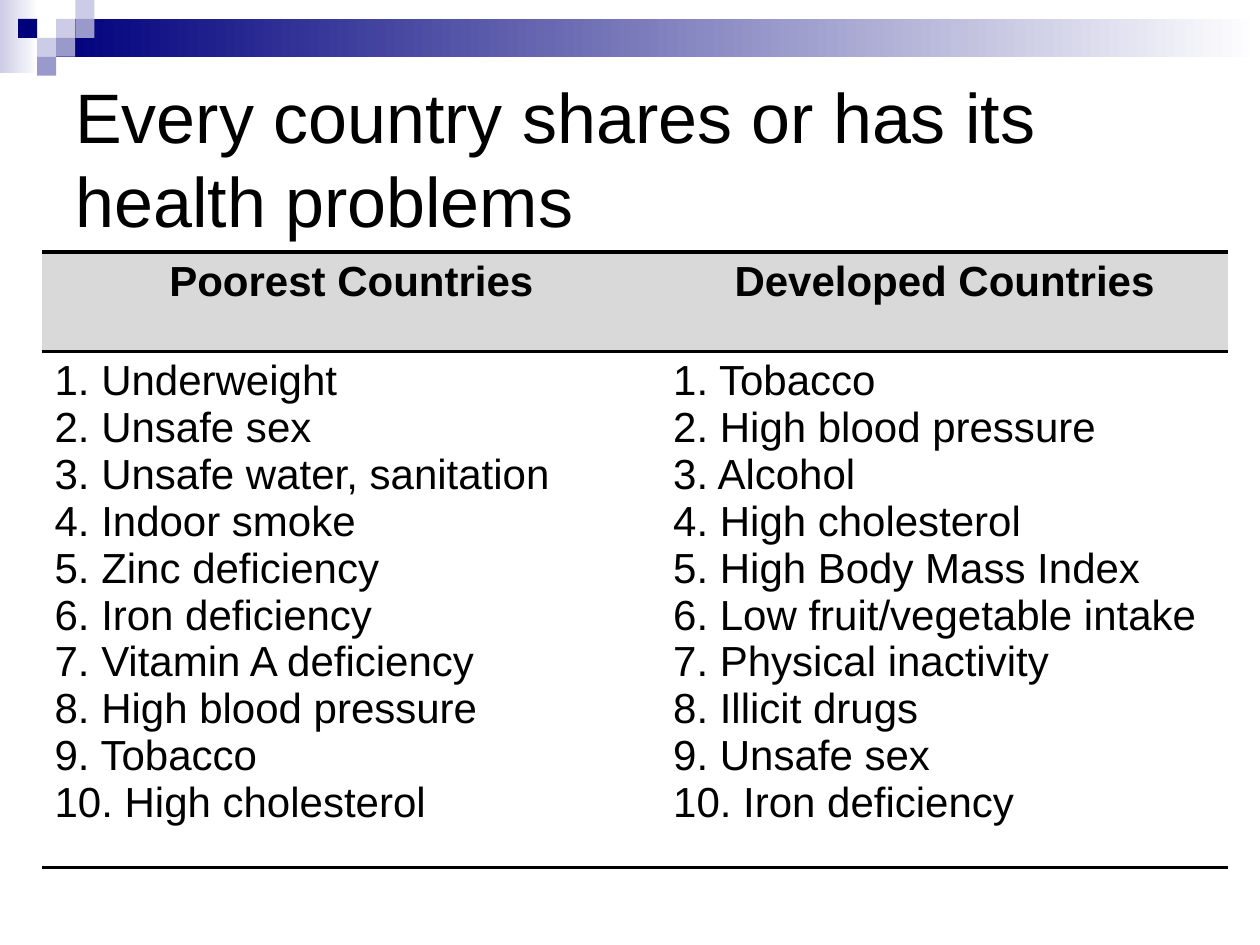
from pptx import Presentation
from pptx.dml.color import RGBColor as RGB
from pptx.enum.shapes import MSO_SHAPE as Shape
from pptx.enum.text import MSO_ANCHOR as Anchor, PP_ALIGN as Align
from pptx.oxml import parse_xml
from pptx.oxml.ns import nsdecls, qn
from pptx.util import Pt

COLORS = {
    "navy": "00007D",
    "periwinkle": "9999CC",
    "lavender": "CCCCE6",
    "white": "FFFFFF",
    "header": "D9D9D9",
    "black": "000000",
}
FONT = "Arial"
NO_STYLE = "{2D5ABB26-0587-4C30-8999-92F81FD0307C}"
MOSAIC = [
    (2, 1, "lavender"),
    (3, 0, "lavender"),
    (3, 1, "periwinkle"),
    (1, 2, "lavender"),
    (0, 1, "navy"),
    (2, 2, "periwinkle"),
    (1, 3, "periwinkle"),
]
RISKS = {
    "Poorest Countries": [
        "Underweight", "Unsafe sex", "Unsafe water, sanitation",
        "Indoor smoke", "Zinc deficiency", "Iron deficiency",
        "Vitamin A deficiency", "High blood pressure", "Tobacco",
        "High cholesterol",
    ],
    "Developed Countries": [
        "Tobacco", "High blood pressure", "Alcohol", "High cholesterol",
        "High Body Mass Index", "Low fruit/vegetable intake",
        "Physical inactivity", "Illicit drugs", "Unsafe sex",
        "Iron deficiency",
    ],
}


def color(name):
    return RGB.from_string(COLORS[name])


def add_block(slide, left, top, width, height, start, end=None):
    block = slide.shapes.add_shape(
        Shape.RECTANGLE, Pt(left), Pt(top), Pt(width), Pt(height))
    block.shadow.inherit = False
    block.line.fill.background()
    if end is None:
        block.fill.solid()
        block.fill.fore_color.rgb = color(start)
        return
    block.fill.gradient()
    block.fill.gradient_angle = 0
    for stop, name in zip(block.fill.gradient_stops, (start, end)):
        stop.color.rgb = color(name)


def add_banner(slide, left, top, width, square=10.8):
    add_block(slide, left, top, 22, 42, "lavender", "white")
    mosaic_left, step = left + 10.3, 10.9
    bar_left = mosaic_left + 2 * step
    add_block(slide, bar_left, top + square, left + width - bar_left,
              2 * square, "navy", "white")
    for column, row, name in MOSAIC:
        add_block(slide, mosaic_left + column * step, top + row * square,
                  step, square, name)


def style(paragraph, size, bold=False, spacing=None):
    paragraph.font.name = FONT
    paragraph.font.size = Pt(size)
    paragraph.font.bold = bold
    paragraph.font.color.rgb = color("black")
    if spacing:
        paragraph.line_spacing = Pt(spacing)


def add_title(slide, left, top, width, height):
    title = slide.shapes.add_textbox(
        Pt(left), Pt(top), Pt(width), Pt(height)).text_frame
    title.word_wrap = True
    title.vertical_anchor = Anchor.MIDDLE
    title.text = "Every country shares or has its health problems"
    style(title.paragraphs[0], 40, spacing=48)


def add_rule(cell, side):
    cell._tc.get_or_add_tcPr().append(parse_xml(
        f'<a:{side} {nsdecls("a")} w="{Pt(2)}"><a:solidFill>'
        f'<a:srgbClr val="{COLORS["black"]}"/></a:solidFill></a:{side}>'))


def add_risk_table(slide, left, top, column_widths, row_heights):
    table = slide.shapes.add_table(
        len(row_heights), len(column_widths), Pt(left), Pt(top),
        Pt(sum(column_widths)), Pt(sum(row_heights))).table
    table._tbl.tblPr.find(qn("a:tableStyleId")).text = NO_STYLE
    table.horz_banding = False
    for row, height in zip(table.rows, row_heights):
        row.height = Pt(height)
    for index, (heading, risks) in enumerate(RISKS.items()):
        table.columns[index].width = Pt(column_widths[index])
        header, body = table.cell(0, index), table.cell(1, index)
        for cell in (header, body):
            add_rule(cell, "lnT")
            add_rule(cell, "lnB")
        header.fill.solid()
        header.fill.fore_color.rgb = color("header")
        body.fill.background()
        header.text = heading
        header.text_frame.paragraphs[0].alignment = Align.CENTER
        style(header.text_frame.paragraphs[0], 24, bold=True)
        body.text = "\n".join(
            f"{rank}. {risk}" for rank, risk in enumerate(risks, 1))
        for paragraph in body.text_frame.paragraphs:
            properties = paragraph._p.get_or_add_pPr()
            properties.set("marL", str(Pt(27)))
            properties.set("indent", str(Pt(-27)))
            style(paragraph, 24, spacing=26.75)


def main():
    presentation = Presentation()
    presentation.slide_width = Pt(720)
    presentation.slide_height = Pt(540)
    slide = presentation.slides.add_slide(presentation.slide_layouts[6])
    add_banner(slide, 0, 0, 720)
    add_title(slide, 36, 36, 648, 108)
    add_risk_table(slide, 24, 144, (353.5, 324.5), (56.9, 295.1))
    presentation.save("out.pptx")


if __name__ == "__main__":
    main()
